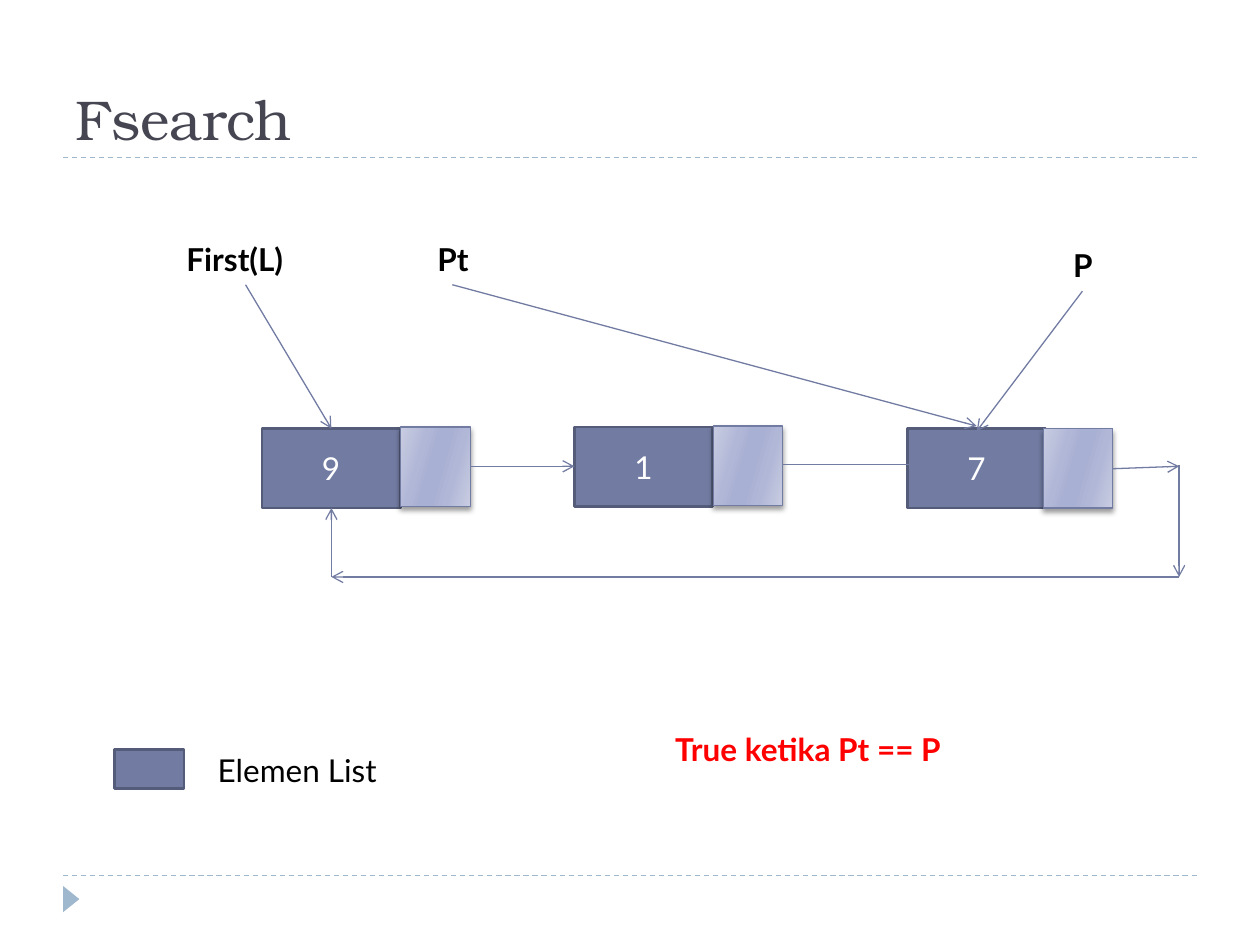
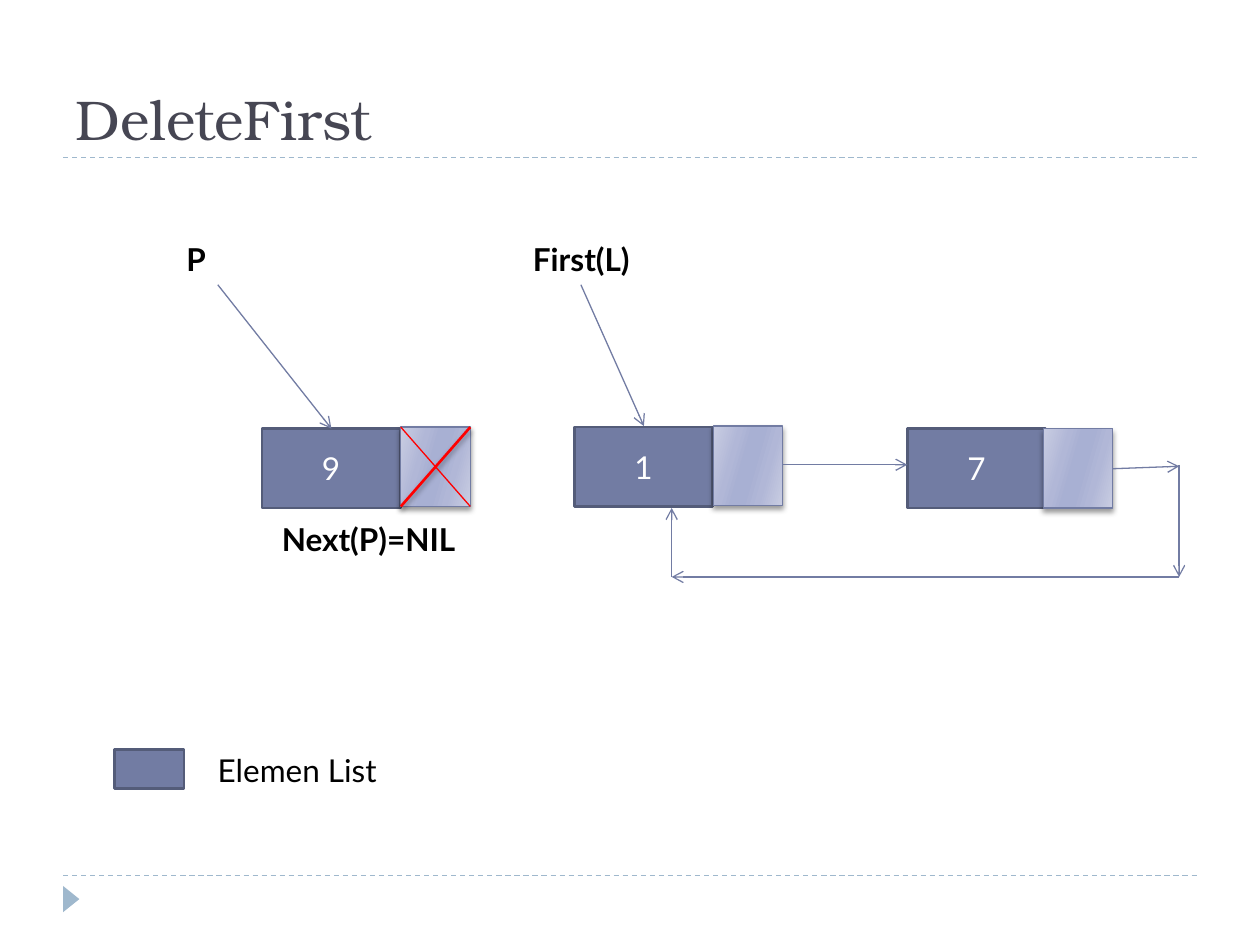
from lxml import etree
from pptx import Presentation
from pptx import util as u
from pptx.dml.color import RGBColor
from pptx.enum import dml, shapes, text
from pptx.oxml import ns

# Shared style
TITLE_FONT, BODY_FONT = "TeX Gyre Bonum", "Lato"
TITLE, BLACK, WHITE, RED = "464653", "000000", "FFFFFF", "FF0000"
NODE, NODE_EDGE, RULE = "727CA3", "545C79", "9FB8CD"
GRADIENT = [(0, "C9CDE2"), (30, "B1B7D7"), (45, "A8B0D3"),
            (55, "A8B0D3"), (73, "B1B7D7"), (100, "C9CDE2")]
GRADIENT_ANGLE = 16
THIN, THICK = 0.75, 1.5

# Geometry in centimetres
MARGIN, RIGHT_EDGE = 1.27, 24.13
RULES = [3.18, 17.65]
MARKER = (1.17, 17.96, 0.53, 0.33)
TITLE_BOX = (1.27, 0.43, 22.86, 2.75)
VALUE_WIDTH, LINK_WIDTH, NODE_HEIGHT = 2.79, 1.4, 1.6
LABEL_TOP, LABEL_HEIGHT = 4.72, 1.02
LOOP_RIGHT, LOOP_BOTTOM, NODE_BOTTOM = 23.77, 11.63, 10.24

# Value, left and top of the value cell, left and top of the link cell
NODES = [("9", 5.28, 8.64, 8.08, 8.61),
         ("1", 11.58, 8.61, 14.38, 8.59),
         ("7", 18.29, 8.64, 21.03, 8.64)]
LEGEND_KEY = (2.31, 15.11, 1.4, 0.79)
LEGEND = ("Elemen List", 4.14, 15.01, 4.19, LABEL_HEIGHT)

# Labels: text, left, top, width, height, colour, centred
# Arrows: start x, start y, end x, end y
SLIDES = [
    {"title": "Fsearch",
     "labels": [
         ("First(L)", 3.51, LABEL_TOP, 2.92, LABEL_HEIGHT, BLACK, False),
         ("Pt", 7.67, LABEL_TOP, 2.92, LABEL_HEIGHT, BLACK, True),
         ("P", 20.37, 4.83, 2.92, LABEL_HEIGHT, BLACK, True),
         ("True ketika Pt == P", 13.36, 14.6, 7.72, 1.8, RED, False)],
     "arrows": [(4.95, 5.74, 6.68, 8.64),
                (9.12, 5.74, 19.69, 8.59),
                (21.82, 5.87, 19.69, 8.69),
                (9.47, 9.4, 11.58, 9.4),
                (15.77, 9.37, 19.25, 9.37)],
     "loop_left": 6.68, "crossed": None},
    {"title": "DeleteFirst",
     "labels": [
         ("P", 3.51, LABEL_TOP, 1.78, LABEL_HEIGHT, BLACK, False),
         ("First(L)", 7.67, LABEL_TOP, 8.1, LABEL_HEIGHT, BLACK, True),
         ("Next(P)=NIL", 3.38, 10.36, 8.1, LABEL_HEIGHT, BLACK, True)],
     "arrows": [(4.39, 5.74, 6.68, 8.64),
                (11.71, 5.74, 12.98, 8.59),
                (15.77, 9.37, 18.29, 9.37)],
     "loop_left": 13.54, "crossed": NODES[0]},
]


def colour(value):
    """Turn a hex string into a colour."""
    return RGBColor.from_string(value)


def lengths(values):
    """Turn centimetres into lengths."""
    return [u.Cm(value) for value in values]


def child(parent, tag, **attributes):
    """Append a drawing element with its attributes."""
    element = etree.SubElement(parent, ns.qn("a:" + tag))
    for name, value in attributes.items():
        element.set(name, str(value))
    return element


def add_shadow(effects):
    """Put a soft shadow below the object."""
    shadow = child(effects, "outerShdw", blurRad=u.Pt(3), dist=u.Pt(2),
                   dir=90 * 60000, rotWithShape=0)
    child(child(shadow, "srgbClr", val=BLACK), "alpha", val=40000)


def write(frame, words, size, font, hue, bold=False, centred=False):
    """Write one formatted run into a text frame."""
    para = frame.paragraphs[0]
    para.alignment = text.PP_ALIGN.CENTER if centred else text.PP_ALIGN.LEFT
    span = para.add_run()
    span.text = words
    span.font.size, span.font.name = u.Pt(size), font
    span.font.bold = bold
    span.font.color.rgb = colour(hue)


def add_line(page, ends, hue=NODE, width=THIN, arrow=False, shadow=False):
    """Draw a straight line, with an arrowhead at its end if asked."""
    line = page.shapes.add_connector(shapes.MSO_CONNECTOR.STRAIGHT, *lengths(ends))
    line.line.color.rgb = colour(hue)
    line.line.width = u.Pt(width)
    if arrow:
        child(line.line.fill._xPr, "tailEnd", type="arrow")
    effects = child(line.element.spPr, "effectLst")
    if shadow:
        add_shadow(effects)
    return line


def add_box(page, place, fill, edge=None, width=THICK,
            kind=shapes.MSO_SHAPE.RECTANGLE):
    """Draw a flat filled shape."""
    box = page.shapes.add_shape(kind, *lengths(place))
    box.shadow.inherit = False
    box.fill.solid()
    box.fill.fore_color.rgb = colour(fill)
    if edge:
        box.line.color.rgb = colour(edge)
        box.line.width = u.Pt(width)
    else:
        box.line.fill.background()
    return box


def add_label(page, words, left, top, width, height, hue=BLACK,
              centred=False, bold=True):
    """Add a text box that grows with its text."""
    box = page.shapes.add_textbox(*lengths((left, top, width, height)))
    box.text_frame.word_wrap = True
    box.text_frame.auto_size = text.MSO_AUTO_SIZE.SHAPE_TO_FIT_TEXT
    write(box.text_frame, words, 18, BODY_FONT, hue, bold, centred)


def add_link_cell(page, left, top):
    """Draw the shaded link cell of a node."""
    box = add_box(page, (left, top, LINK_WIDTH, NODE_HEIGHT), NODE, NODE, THIN)
    properties = box.element.spPr
    gradient = child(properties, "gradFill", rotWithShape=1)
    stops = child(gradient, "gsLst")
    for percent, hue in GRADIENT:
        child(child(stops, "gs", pos=percent * 1000), "srgbClr", val=hue)
    child(gradient, "lin", ang=GRADIENT_ANGLE * 60000, scaled=0)
    properties.replace(properties.find(ns.qn("a:solidFill")), gradient)
    add_shadow(properties.find(ns.qn("a:effectLst")))


def add_node(page, value, left, top, link_left, link_top):
    """Draw a list node: value cell and link cell."""
    box = add_box(page, (left, top, VALUE_WIDTH, NODE_HEIGHT), NODE, NODE_EDGE)
    box.text_frame.vertical_anchor = text.MSO_ANCHOR.MIDDLE
    write(box.text_frame, value, 18, BODY_FONT, WHITE, centred=True)
    add_link_cell(page, link_left, link_top)


def add_loop(page, left):
    """Draw the link from the last node back to the first."""
    for ends in [(22.43, 9.45, LOOP_RIGHT, 9.4),
                 (LOOP_RIGHT, 9.37, LOOP_RIGHT, LOOP_BOTTOM),
                 (LOOP_RIGHT, LOOP_BOTTOM, left, LOOP_BOTTOM),
                 (left, LOOP_BOTTOM, left, NODE_BOTTOM)]:
        add_line(page, ends, arrow=True)


def cross_out(page, node):
    """Cross out the link cell of a node."""
    left, top = node[3:]
    right, bottom = left + LINK_WIDTH, top + NODE_HEIGHT
    add_line(page, (left, bottom, right, top), RED, THICK, shadow=True)
    add_line(page, (left, top, right, bottom), RED)


def decorate(layout, page):
    """Draw the rules and the marker, then move them into the layout."""
    parts = []
    for height in RULES:
        rule = add_line(page, (MARGIN, height, RIGHT_EDGE, height), RULE)
        rule.line.dash_style = dml.MSO_LINE.DASH
        parts.append(rule)
    marker = add_box(page, MARKER, RULE, kind=shapes.MSO_SHAPE.ISOSCELES_TRIANGLE)
    marker.rotation = 90
    parts.append(marker)
    for number, part in enumerate(parts):
        part.element.xpath(".//p:cNvPr")[0].set("id", str(100 + number))
        layout.element.cSld.spTree.insert(2 + number, part.element)


def add_title(page, words):
    """Place and fill the title placeholder."""
    title = page.shapes.title
    title.left, title.top, title.width, title.height = lengths(TITLE_BOX)
    title.text_frame.auto_size = text.MSO_AUTO_SIZE.NONE
    title.text_frame.vertical_anchor = text.MSO_ANCHOR.BOTTOM
    write(title.text_frame, words, 32, TITLE_FONT, TITLE)


def build_slide(page, content):
    """Draw one slide of the list diagram."""
    add_title(page, content["title"])
    for label in content["labels"]:
        add_label(page, *label)
    add_box(page, LEGEND_KEY, NODE, NODE_EDGE)
    add_label(page, *LEGEND, bold=False)
    for node in NODES:
        add_node(page, *node)
    for ends in content["arrows"]:
        add_line(page, ends, arrow=True)
    add_loop(page, content["loop_left"])
    if content["crossed"]:
        cross_out(page, content["crossed"])


deck = Presentation()
deck.slide_width, deck.slide_height = lengths((25.4, 19.05))
title_only = deck.slide_layouts[5]
for content in SLIDES:
    page = deck.slides.add_slide(title_only)
    if content is SLIDES[0]:
        decorate(title_only, page)
    build_slide(page, content)
deck.save("out.pptx")
